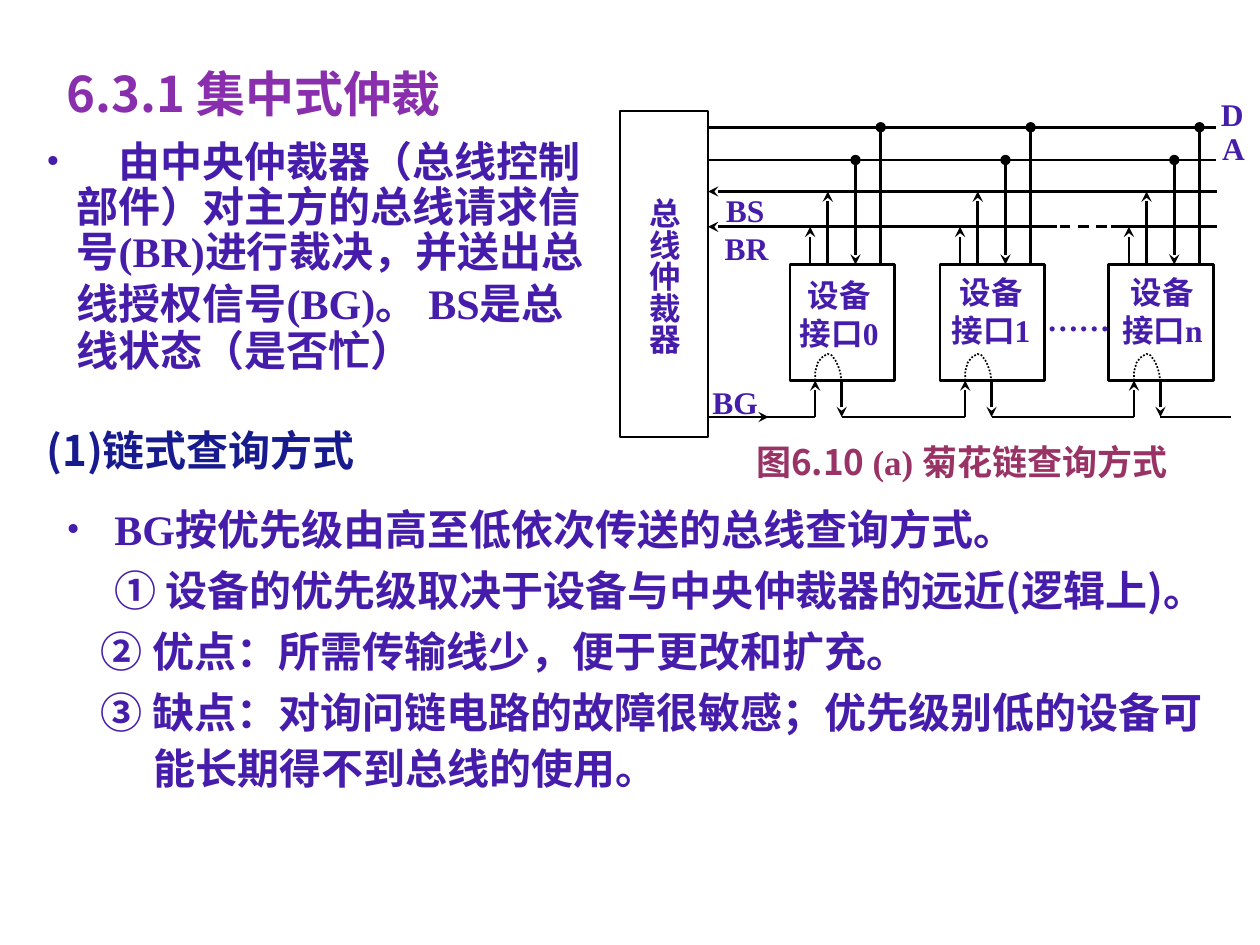
from lxml import etree
from pptx import Presentation
from pptx import util as u
from pptx.dml.color import RGBColor
from pptx.enum import dml, shapes, text
from pptx.oxml.ns import qn

SERIF, SANS = "Times New Roman", "Noto Sans CJK SC"
VIOLET, PURPLE, NAVY, PLUM = "461DAB", "892FAD", "181B8E", "993366"
BLACK, WHITE = "000000", "FFFFFF"
CENTER, JUSTIFY = text.PP_ALIGN.CENTER, text.PP_ALIGN.JUSTIFY

# Signal heights of the bus diagram
DATA_Y, ADDRESS_Y, BS_Y, BR_Y, BG_Y = 1.01, 1.27, 1.52, 1.8, 3.31
BOX_TOP, BOX_WIDTH, BOX_HEIGHT = 2.1, 0.83, 0.92
# Box left, label and label position of each device interface
DEVICES = [
    (6.27, "接口0", (6.25, 2.19, 0.82, 0.65)),
    (7.46, "接口1", (7.42, 2.17, 0.89, 0.65)),
    (8.8, "接口n", (8.83, 2.17, 0.79, 0.56)),
]
REQUEST, BUSY, ADDRESS, DATA, GRANT_IN, GRANT_OUT = 0.16, 0.3, 0.52, 0.72, 0.2, 0.41


def color(value):
    return RGBColor.from_string(value)


def apply(target, values):
    for name, value in values.items():
        setattr(target, name, value)


def add_run(paragraph, words, size, hue=VIOLET, font=SERIF):
    run = paragraph.add_run()
    run.text = words
    run.font.color.rgb = color(hue)
    apply(run.font, {"size": u.Pt(size), "bold": True, "name": font})
    etree.SubElement(run._r.get_or_add_rPr(), qn("a:ea"), typeface=SANS)


def set_indent(paragraph, margin, first=0.0, bullet=False):
    properties = paragraph._p.get_or_add_pPr()
    properties.set("marL", str(u.Inches(margin)))
    properties.set("indent", str(u.Inches(first)))
    if bullet:
        bullet_color = etree.SubElement(properties, qn("a:buClr"))
        etree.SubElement(bullet_color, qn("a:srgbClr"), val=VIOLET)
        etree.SubElement(properties, qn("a:buSzPct"), val="90000")
        etree.SubElement(properties, qn("a:buFont"), typeface=SERIF)
        etree.SubElement(properties, qn("a:buChar"), char="•")


def add_box(slide, place, inset=(0, 0), wrap=True):
    box = slide.shapes.add_textbox(*map(u.Inches, place))
    across, down = map(u.Inches, inset)
    apply(box.text_frame, {
        "word_wrap": wrap, "margin_left": across, "margin_right": across,
        "margin_top": down, "margin_bottom": down})
    return box.text_frame


def add_label(slide, place, lines, align=CENTER):
    frame = add_box(slide, place)
    for index, words in enumerate(lines):
        paragraph = frame.add_paragraph() if index else frame.paragraphs[0]
        paragraph.alignment = align
        add_run(paragraph, words, 18)
    return frame


def add_rectangle(slide, place):
    shape = slide.shapes.add_shape(shapes.MSO_SHAPE.RECTANGLE, *map(u.Inches, place))
    shape.shadow.inherit = False
    shape.fill.solid()
    shape.fill.fore_color.rgb = color(WHITE)
    shape.line.color.rgb = color(BLACK)
    shape.line.width = u.Pt(1.5)


def add_wire(slide, start, end, head=None, tail=None, dash=None):
    wire = slide.shapes.add_connector(
        shapes.MSO_CONNECTOR.STRAIGHT, *map(u.Inches, start + end))
    wire.line.color.rgb = color(BLACK)
    apply(wire.line, {"width": u.Pt(1.5), "dash_style": dash})
    outline = wire.line._get_or_add_ln()
    for tag, kind in (("a:headEnd", head), ("a:tailEnd", tail)):
        if kind:
            etree.SubElement(outline, qn(tag), type=kind)
    etree.SubElement(wire._element.spPr, qn("a:effectLst"))


def add_arc(slide, left):
    # Outline of the grant path inside a device, offsets from its left foot
    offsets = [(0, 3.02), (0, 2.95), (0.02, 2.88), (0.05, 2.84), (0.08, 2.82), (0.1, 2.81),
               (0.13, 2.82), (0.16, 2.86), (0.18, 2.9), (0.2, 2.96), (0.21, 3.04)]
    points = [(u.Inches(left + x), u.Inches(y)) for x, y in offsets]
    builder = slide.shapes.build_freeform(*points[0])
    builder.add_line_segments(points[1:], close=False)
    arc = builder.convert_to_shape()
    arc.shadow.inherit = False
    arc.fill.background()
    arc.line.color.rgb = color(BLACK)
    apply(arc.line, {"width": u.Pt(1), "dash_style": dml.MSO_LINE.ROUND_DOT})


def add_device(slide, left, name, label_place):
    add_rectangle(slide, (left, BOX_TOP, BOX_WIDTH, BOX_HEIGHT))
    add_label(slide, label_place, ["设备", name])
    add_arc(slide, left + GRANT_IN)
    bottom = BOX_TOP + BOX_HEIGHT
    for offset, start, end, head, tail in [
        (REQUEST, BOX_TOP, BR_Y, None, "stealth"),
        (BUSY, BOX_TOP, BS_Y, None, "stealth"),
        (ADDRESS, ADDRESS_Y, BOX_TOP, "oval", "stealth"),
        (DATA, BOX_TOP, DATA_Y, None, "oval"),
        (GRANT_IN, BG_Y, bottom, None, "stealth"),
        (GRANT_OUT, BG_Y, bottom, "stealth", None),
    ]:
        add_wire(slide, (left + offset, start), (left + offset, end), head, tail)


def add_diagram(slide):
    # Arbiter
    add_rectangle(slide, (4.92, 0.88, 0.7, 2.59))
    arbiter = add_label(slide, (5.12, 1.57, 0.3, 1.44), ["总线仲裁器"], JUSTIFY)
    arbiter._txBody.bodyPr.set("vert", "eaVert")

    # Bus lines
    for y, end, head in [(DATA_Y, 9.65, None), (ADDRESS_Y, 9.65, None),
                         (BS_Y, 9.66, "stealth"), (BR_Y, 8.39, "stealth")]:
        add_wire(slide, (5.62, y), (end, y), head)
    add_wire(slide, (8.41, BR_Y), (8.82, BR_Y), dash=dml.MSO_LINE.DASH)
    add_wire(slide, (8.82, BR_Y), (9.66, BR_Y))

    # Devices and the grant chain through them
    for device in DEVICES:
        add_device(slide, *device)
    starts = [5.62] + [left + GRANT_OUT for left, _, _ in DEVICES]
    ends = [left + GRANT_IN for left, _, _ in DEVICES] + [9.77]
    for start, end in zip(starts, ends):
        add_wire(slide, (start, BG_Y), (end, BG_Y))
    add_wire(slide, (5.94, BG_Y), (6.1, BG_Y), tail="stealth")

    # Signal names
    for words, place in [("D", (9.69, 0.75, 0.21, 0.41)), ("A", (9.7, 1.02, 0.21, 0.41))]:
        add_label(slide, place, [words], JUSTIFY)
    for words, place in [("BS", (5.68, 1.52, 0.47, 0.33)), ("BR", (5.69, 1.82, 0.47, 0.33)),
                         ("BG", (5.6, 3.04, 0.47, 0.33)), ("……", (8.29, 2.38, 0.54, 0.34))]:
        add_label(slide, place, [words])

    # Caption
    caption = add_box(slide, (6, 3.5, 3.42, 0.33)).paragraphs[0]
    add_run(caption, "图6.10 ", 20, PLUM, SANS)
    add_run(caption, "(a) 菊花链查询方式", 20, PLUM)


def add_title(slide):
    title = slide.shapes.title
    apply(title, dict(zip(("left", "top", "width", "height"),
                          map(u.Inches, (0.35, 0.28, 4.25, 0.74)))))
    apply(title.text_frame, {"vertical_anchor": text.MSO_ANCHOR.BOTTOM,
                             "margin_left": u.Inches(0.18)})
    paragraph = title.text_frame.paragraphs[0]
    paragraph.alignment = text.PP_ALIGN.LEFT
    add_run(paragraph, "6.3.1 集中式仲裁", 28, PURPLE, SANS)


def add_introduction(slide):
    paragraph = add_box(slide, (0.27, 1.07, 4.58, 1.96), (0.1, 0.05)).paragraphs[0]
    set_indent(paragraph, 0.24, -0.24, bullet=True)
    paragraph.line_spacing = 0.9
    add_run(paragraph, "　由中央仲裁器（总线控制部件）对主方的总线请求信号(BR)"
                       "进行裁决，并送出总线授权信号(BG)。", 24)
    add_run(paragraph, " ", 28, font=SANS)
    add_run(paragraph, "BS是总线状态（是否忙）", 24)

    heading = add_box(slide, (0.27, 3.4, 2.73, 0.42), (0.1, 0.05), wrap=False).paragraphs[0]
    heading.line_spacing = 0.8
    add_run(heading, "(1)链式查询方式", 24, NAVY, SANS)


def add_points(slide):
    frame = add_box(slide, (0.43, 3.99, 9.31, 2.83), (0.1, 0.05))
    # Margin, first-line indent, space before, text pieces (sans at odd places)
    points = [
        (0.38, -0.38, 0, ["BG按优先级由高至低依次传送的总线查询方式。"]),
        (0.38, 0, 9, ["① 设备的优先级取决于设备与中央仲裁器的远近", "(", "逻辑上", ")", "。"]),
        (0.27, 0, 9, ["② 优点：所需传输线少，便于更改和扩充。"]),
        (0.27, 0, 9, ["③ 缺点：对询问链电路的故障很敏感；优先级别低的设备可"]),
        (0.69, 0, 6, ["能长期得不到总线的使用。"]),
    ]
    for index, (margin, first, space, pieces) in enumerate(points):
        paragraph = frame.add_paragraph() if index else frame.paragraphs[0]
        set_indent(paragraph, margin, first, bullet=index == 0)
        apply(paragraph, {"alignment": JUSTIFY, "line_spacing": 0.9,
                          "space_before": u.Pt(space)})
        for place, words in enumerate(pieces):
            add_run(paragraph, words, 24, font=SANS if place % 2 else SERIF)


def main():
    presentation = Presentation()
    apply(presentation, {"slide_width": u.Inches(10), "slide_height": u.Inches(7.5)})
    slide = presentation.slides.add_slide(presentation.slide_layouts[5])
    add_title(slide)
    add_points(slide)
    add_diagram(slide)
    add_introduction(slide)
    presentation.save("out.pptx")


if __name__ == "__main__":
    main()
